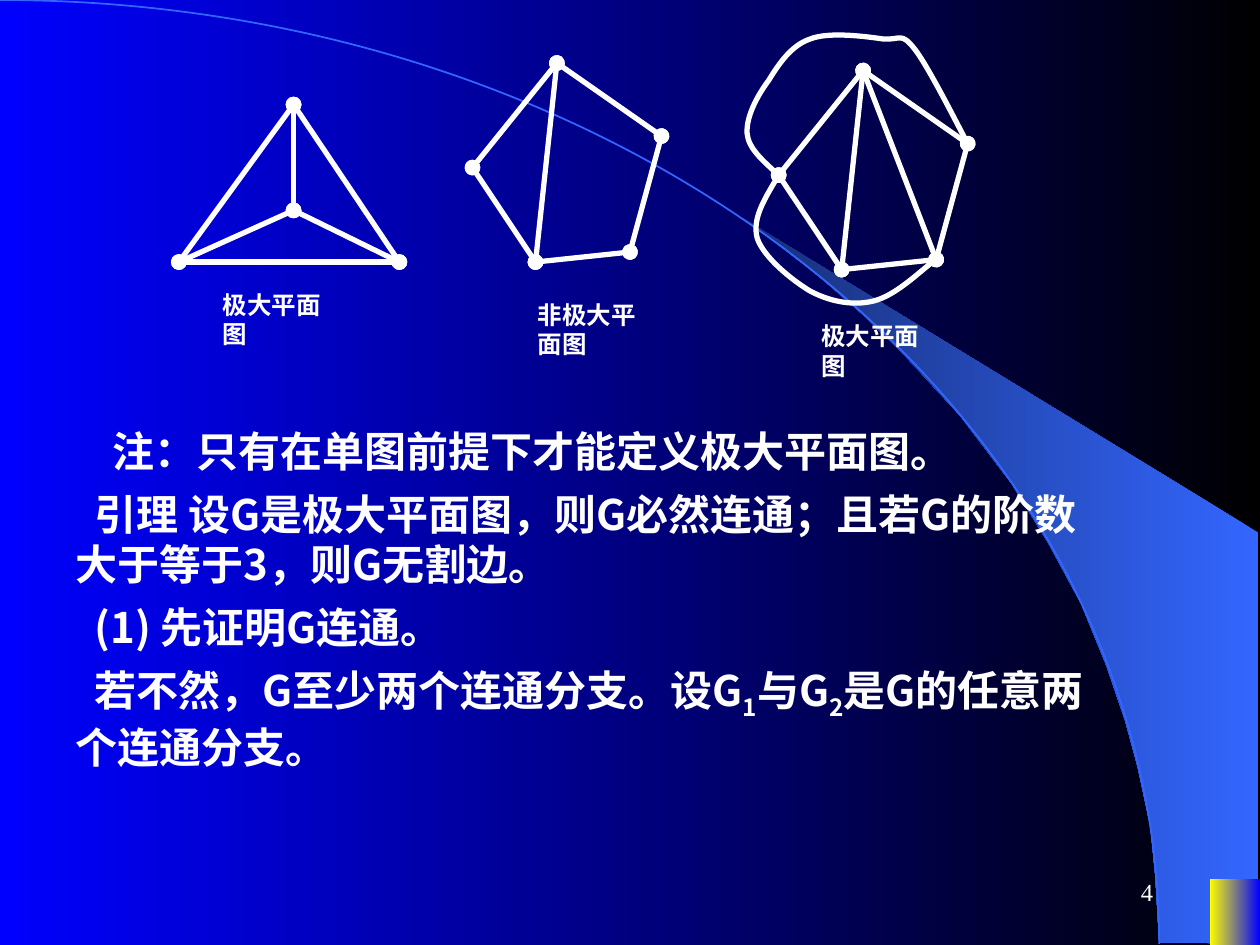
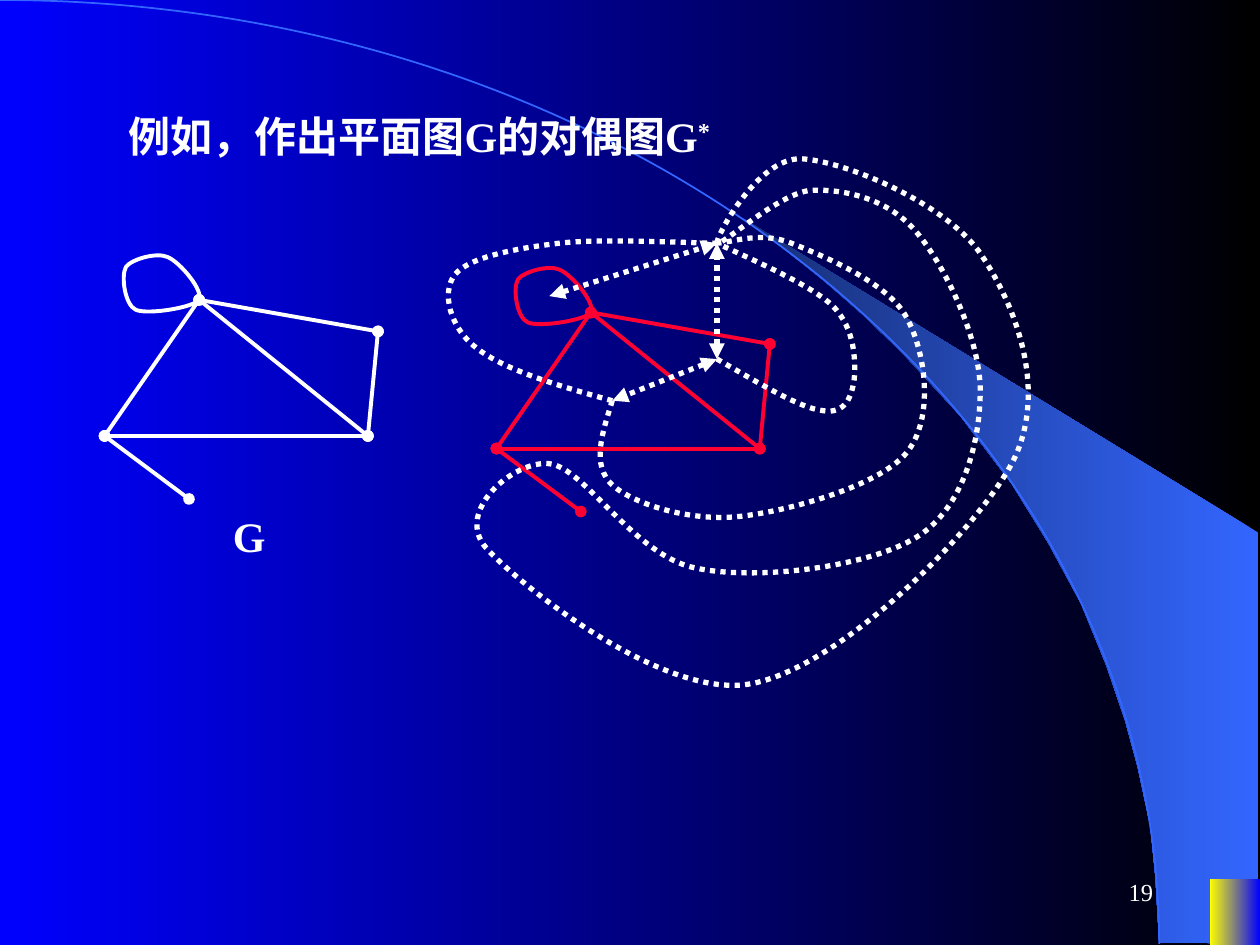
from dataclasses import dataclass

from pptx import Presentation
from pptx.dml.color import RGBColor
from pptx.enum.dml import MSO_LINE
from pptx.enum.shapes import MSO_CONNECTOR, MSO_SHAPE
from pptx.enum.text import MSO_ANCHOR, MSO_AUTO_SIZE, PP_ALIGN
from pptx.oxml.ns import qn
from pptx.oxml.xmlchemy import OxmlElement
from pptx.util import Inches, Pt

STRAIGHT = MSO_CONNECTOR.STRAIGHT
RECTANGLE = MSO_SHAPE.RECTANGLE
DOTTED = MSO_LINE.ROUND_DOT
TOP, MIDDLE = MSO_ANCHOR.TOP, MSO_ANCHOR.MIDDLE
LEFT, RIGHT = PP_ALIGN.LEFT, PP_ALIGN.RIGHT
FIXED_SIZE = MSO_AUTO_SIZE.NONE
TITLE_AND_BODY, TITLE_ONLY = 1, 5
SUBSCRIPT, SUPERSCRIPT = -25000, 30000


@dataclass(frozen=True)
class Theme:
    white: str = "FFFFFF"
    red: str = "FF0033"
    black: str = "000000"
    blue: str = "0000FF"
    yellow: str = "FFFF00"
    arc: str = "3366FF"
    ribbon_dark: str = "172F75"
    serif: str = "Times New Roman"
    sans: str = "Noto Sans CJK SC"
    text_size: int = 24
    small_size: int = 14
    paragraph_gap: int = 7


@dataclass(frozen=True)
class Stroke:
    color: str
    width: float
    ends: str = ""
    dash: object = None


THEME = Theme()
BOLD_EDGE = Stroke(THEME.white, 3, "oval")
BOLD_CURVE = Stroke(THEME.white, 3)
DUAL_EDGE = Stroke(THEME.white, 3, "triangle", DOTTED)
DUAL_CURVE = Stroke(THEME.white, 3, "", DOTTED)

RIBBON = [
    (9.2, 7.48), (9.99, 7.49), (9.99, 4.23), (5.89, 1.73), (6.24, 1.99), (6.53, 2.22),
    (6.85, 2.5), (7.16, 2.8), (7.62, 3.3), (8.03, 3.84), (8.32, 4.31), (8.58, 4.79),
    (8.78, 5.28), (8.93, 5.72), (9.03, 6.09), (9.13, 6.56), (9.17, 6.96),
]
ARC = [(0, 0), (5.08, 0), (9.2, 3.35), (9.2, 7.49)]

TETRAHEDRON = {"top": (2.33, 0.83), "center": (2.33, 1.67),
               "left": (1.42, 2.08), "right": (3.17, 2.08)}
TETRAHEDRON_EDGES = [("top", "left"), ("top", "right"), ("left", "right"),
                     ("top", "center"), ("center", "left"), ("center", "right")]
PENTAGON = {"a": (4.42, 0.5), "b": (3.75, 1.33), "c": (4.25, 2.08),
            "d": (5, 2), "e": (5.25, 1.08)}
PENTAGON_EDGES = ["ab", "bc", "ae", "ed", "cd", "ac"]
PENTAGON_SHIFT = (2.43, 0.06)
LOWER_ARC = [(6.18, 1.39), (6.08, 1.56), (5.97, 1.74), (6.01, 1.89), (6.06, 2.04),
             (6.28, 2.22), (6.43, 2.31), (6.58, 2.39), (6.76, 2.43), (6.93, 2.39),
             (7.1, 2.35), (7.35, 2.11), (7.43, 2.06)]
UPPER_ARC = [(6.18, 1.39), (6.06, 1.28), (5.94, 1.18), (5.93, 1.06), (5.92, 0.93),
             (6.01, 0.76), (6.1, 0.64), (6.18, 0.51), (6.28, 0.36), (6.43, 0.31),
             (6.58, 0.25), (6.87, 0.29), (7.01, 0.31), (7.15, 0.32), (7.15, 0.25),
             (7.26, 0.39), (7.37, 0.53), (7.61, 1.01), (7.68, 1.14)]

GRAPH = {"a": (1.58, 2.38), "b": (0.83, 3.46), "c": (2.92, 3.46),
         "d": (3, 2.63), "e": (1.5, 3.96)}
GRAPH_EDGES = ["ab", "bc", "ac", "be", "cd", "ad"]
GRAPH_SHIFT = (3.11, 0.1)
LOOP = [(1.58, 2.38), (1.62, 2.31), (1.43, 2.08), (1.33, 2.04), (1.24, 2), (1.04, 2.06),
        (1, 2.12), (0.96, 2.19), (0.99, 2.42), (1.08, 2.46), (1.18, 2.5), (1.54, 2.44),
        (1.58, 2.38)]

DUAL_GRAPH = {"outer": (5.69, 1.93), "right": (5.69, 2.85),
              "left": (4.86, 3.18), "loop": (4.36, 2.35)}
DUAL_EDGES = [("right", "left"), ("right", "outer"), ("loop", "outer")]
DUAL_CURVES = [
    [(5.69, 2.85), (6.02, 3.04), (6.35, 3.24), (6.53, 3.26), (6.71, 3.29), (6.76, 3.15),
     (6.78, 3.01), (6.79, 2.87), (6.79, 2.61), (6.61, 2.43), (6.43, 2.25), (5.85, 2.01),
     (5.69, 1.93)],
    [(4.86, 3.18), (4.78, 3.44), (4.69, 3.69), (4.86, 3.85), (5.03, 4), (5.47, 4.14),
     (5.86, 4.1), (6.25, 4.06), (6.97, 3.86), (7.19, 3.6), (7.42, 3.33), (7.35, 2.79),
     (7.19, 2.51), (7.04, 2.24), (6.53, 2.03), (6.28, 1.93), (6.03, 1.83), (5.79, 1.93),
     (5.69, 1.93)],
    [(4.86, 3.18), (4.42, 3.06), (3.99, 2.93), (3.78, 2.76), (3.57, 2.6), (3.5, 2.32),
     (3.61, 2.18), (3.72, 2.04), (4.1, 1.97), (4.44, 1.93), (4.79, 1.89), (5.49, 1.93),
     (5.69, 1.93)],
    [(5.69, 1.93), (5.68, 1.89), (6.01, 1.25), (6.36, 1.26), (6.71, 1.28), (7.5, 1.61),
     (7.78, 2.01), (8.06, 2.42), (8.33, 3.11), (8.03, 3.68), (7.72, 4.25), (6.64, 5.32),
     (5.94, 5.43), (5.25, 5.54), (4.12, 4.64), (3.86, 4.35), (3.6, 4.06), (4.08, 3.65),
     (4.36, 3.68), (4.64, 3.71), (5.04, 4.42), (5.53, 4.51), (6.01, 4.61), (6.9, 4.5),
     (7.28, 4.26), (7.65, 4.03), (7.78, 3.5), (7.78, 3.1), (7.78, 2.69), (7.5, 2.11),
     (7.28, 1.85), (7.06, 1.58), (6.71, 1.5), (6.44, 1.51), (6.18, 1.53), (5.71, 1.97),
     (5.69, 1.93)],
]

PROOF = [
    (0.29, [("注：只有在单图前提下才能定义极大平面图。", 0)]),
    (0.15, [("引理 设G是极大平面图，则G必然连通；且若G的阶数大于等于3，则G无割边。", 0)]),
    (0.15, [("(1) 先证明G连通。", 0)]),
    (0.15, [("若不然，G至少两个连通分支。设G", 0), ("1", SUBSCRIPT), ("与G", 0),
            ("2", SUBSCRIPT), ("是G的任意两个连通分支。", 0)]),
]


def shift(point, offset):
    return point[0] + offset[0], point[1] + offset[1]


def shift_graph(vertices, offset):
    return {name: shift(point, offset) for name, point in vertices.items()}


def set_gradient(fill, start, end):
    fill.gradient()
    fill.gradient_angle = 180
    for stop, color in zip(fill.gradient_stops, (start, end)):
        stop.color.rgb = RGBColor.from_string(color)


def set_stroke(line, stroke):
    line.color.rgb = RGBColor.from_string(stroke.color)
    line.width = Pt(stroke.width)
    if stroke.dash:
        line.dash_style = stroke.dash


def set_line_ends(shape, ends):
    outline = shape.element.spPr.find(qn("a:ln"))
    for tag in ("a:headEnd", "a:tailEnd"):
        end = OxmlElement(tag)
        end.set("type", ends)
        outline.append(end)


def add_edge(slide, start, end, stroke):
    x1, y1, x2, y2 = (Inches(value) for value in (*start, *end))
    connector = slide.shapes.add_connector(STRAIGHT, x1, y1, x2, y2)
    set_stroke(connector.line, stroke)
    if stroke.ends:
        set_line_ends(connector, stroke.ends)
    connector.element.spPr.append(OxmlElement("a:effectLst"))


def add_graph(slide, vertices, edges, stroke):
    for start, end in edges:
        add_edge(slide, vertices[start], vertices[end], stroke)


def add_outline(slide, points, close):
    corners = [(Inches(x), Inches(y)) for x, y in points]
    builder = slide.shapes.build_freeform(*corners[0])
    builder.add_line_segments(corners[1:], close=close)
    shape = builder.convert_to_shape()
    shape.shadow.inherit = False
    return shape


def add_curve(slide, points, stroke):
    shape = add_outline(slide, points, close=points[0] == points[-1])
    geometry = shape.element.find(".//" + qn("a:path"))
    segments = geometry.findall(qn("a:lnTo"))
    for index in range(0, len(segments), 3):
        curve = OxmlElement("a:cubicBezTo")
        segments[index].addprevious(curve)
        for segment in segments[index:index + 3]:
            curve.append(segment[0])
            geometry.remove(segment)
    shape.fill.background()
    set_stroke(shape.line, stroke)
    if stroke.ends:
        set_line_ends(shape, stroke.ends)
    return shape


def add_run(paragraph, text, size, font=THEME.serif, bold=True, baseline=0):
    run = paragraph.add_run()
    run.text = text
    run.font.name = font
    run.font.size = Pt(size)
    run.font.bold = bold
    run.font.color.rgb = RGBColor.from_string(THEME.white)
    properties = run.font._element
    east_asian = OxmlElement("a:ea")
    east_asian.set("typeface", THEME.sans)
    properties.append(east_asian)
    if baseline:
        properties.set("baseline", str(baseline))


def place(shape, left, top, width, height, anchor=TOP):
    shape.left, shape.top = Inches(left), Inches(top)
    shape.width, shape.height = Inches(width), Inches(height)
    frame = shape.text_frame
    frame.word_wrap = True
    frame.auto_size = FIXED_SIZE
    frame.vertical_anchor = anchor
    return frame


def add_label(slide, text, box, size, bold=True, align=LEFT, anchor=TOP):
    textbox = slide.shapes.add_textbox(0, 0, 0, 0)
    paragraph = place(textbox, *box, anchor).paragraphs[0]
    paragraph.alignment = align
    add_run(paragraph, text, size, bold=bold)


def add_slide_number(slide, number):
    add_label(slide, number, (7.17, 6.83, 2.08, 0.5), THEME.small_size, False, RIGHT, MIDDLE)


def fill_title(slide, runs):
    paragraph = place(slide.shapes.title, 0.92, 0.83, 8.16, 0.5).paragraphs[0]
    paragraph.alignment = LEFT
    for text, baseline in runs:
        add_run(paragraph, text, THEME.text_size, baseline=baseline)


def fill_body(slide, paragraphs):
    frame = place(slide.placeholders[1], 0.5, 3.33, 8.42, 2.9)
    for index, (indent, runs) in enumerate(paragraphs):
        paragraph = frame.add_paragraph() if index else frame.paragraphs[0]
        properties = paragraph._p.get_or_add_pPr()
        properties.set("marL", "0")
        properties.set("indent", str(Inches(indent)))
        properties.append(OxmlElement("a:buNone"))
        paragraph.space_before = Pt(THEME.paragraph_gap if index else 0)
        for text, baseline in runs:
            add_run(paragraph, text, THEME.text_size, THEME.sans, baseline=baseline)


def move_backdrop_to_master(slide, master):
    set_gradient(master.background.fill, THEME.black, THEME.blue)
    ribbon = add_outline(slide, RIBBON, close=True)
    set_gradient(ribbon.fill, THEME.arc, THEME.ribbon_dark)
    arc = add_curve(slide, ARC, Stroke(THEME.arc, 1))
    corner = slide.shapes.add_shape(
        RECTANGLE, Inches(9.6), Inches(6.98), Inches(0.4), Inches(0.52))
    corner.shadow.inherit = False
    set_gradient(corner.fill, THEME.blue, THEME.yellow)
    for shape in (ribbon, corner):
        shape.line.fill.background()
    for shape in (ribbon, arc, corner):
        master.shapes.element.append(shape.element)


def build_maximal_planar_slide(slide):
    title = slide.shapes.title.element
    title.getparent().remove(title)
    fill_body(slide, PROOF)
    add_graph(slide, TETRAHEDRON, TETRAHEDRON_EDGES, BOLD_EDGE)
    add_graph(slide, PENTAGON, PENTAGON_EDGES, BOLD_EDGE)
    triangulated = shift_graph(PENTAGON, PENTAGON_SHIFT)
    add_graph(slide, triangulated, PENTAGON_EDGES, BOLD_EDGE)
    add_edge(slide, triangulated["a"], triangulated["d"], BOLD_CURVE)
    add_curve(slide, LOWER_ARC, BOLD_EDGE)
    add_curve(slide, UPPER_ARC, BOLD_CURVE)
    for text, left, top in (("极大平面图", 1.67, 2.25), ("非极大平面图", 4.17, 2.33),
                            ("极大平面图", 6.42, 2.5)):
        add_label(slide, text, (left, top, 1.02, 0.57), THEME.small_size)
    add_slide_number(slide, "4")


def build_dual_graph_slide(slide):
    fill_title(slide, [("例如，作出平面图G的对偶图G", 0), ("*", SUPERSCRIPT)])
    for color, offset in ((THEME.white, (0, 0)), (THEME.red, GRAPH_SHIFT)):
        add_graph(slide, shift_graph(GRAPH, offset), GRAPH_EDGES, Stroke(color, 2.25, "oval"))
        add_curve(slide, [shift(point, offset) for point in LOOP], Stroke(color, 2.25))
    add_label(slide, "G", (1.75, 4, 0.77, 0.5), THEME.text_size)
    add_graph(slide, DUAL_GRAPH, DUAL_EDGES, DUAL_EDGE)
    for points in DUAL_CURVES:
        add_curve(slide, points, DUAL_CURVE)
    add_slide_number(slide, "19")


def main():
    presentation = Presentation()
    presentation.slide_width, presentation.slide_height = Inches(10), Inches(7.5)
    layouts = presentation.slide_layouts
    planar_slide = presentation.slides.add_slide(layouts[TITLE_AND_BODY])
    move_backdrop_to_master(planar_slide, presentation.slide_master)
    build_maximal_planar_slide(planar_slide)
    build_dual_graph_slide(presentation.slides.add_slide(layouts[TITLE_ONLY]))
    presentation.save("out.pptx")


if __name__ == "__main__":
    main()
